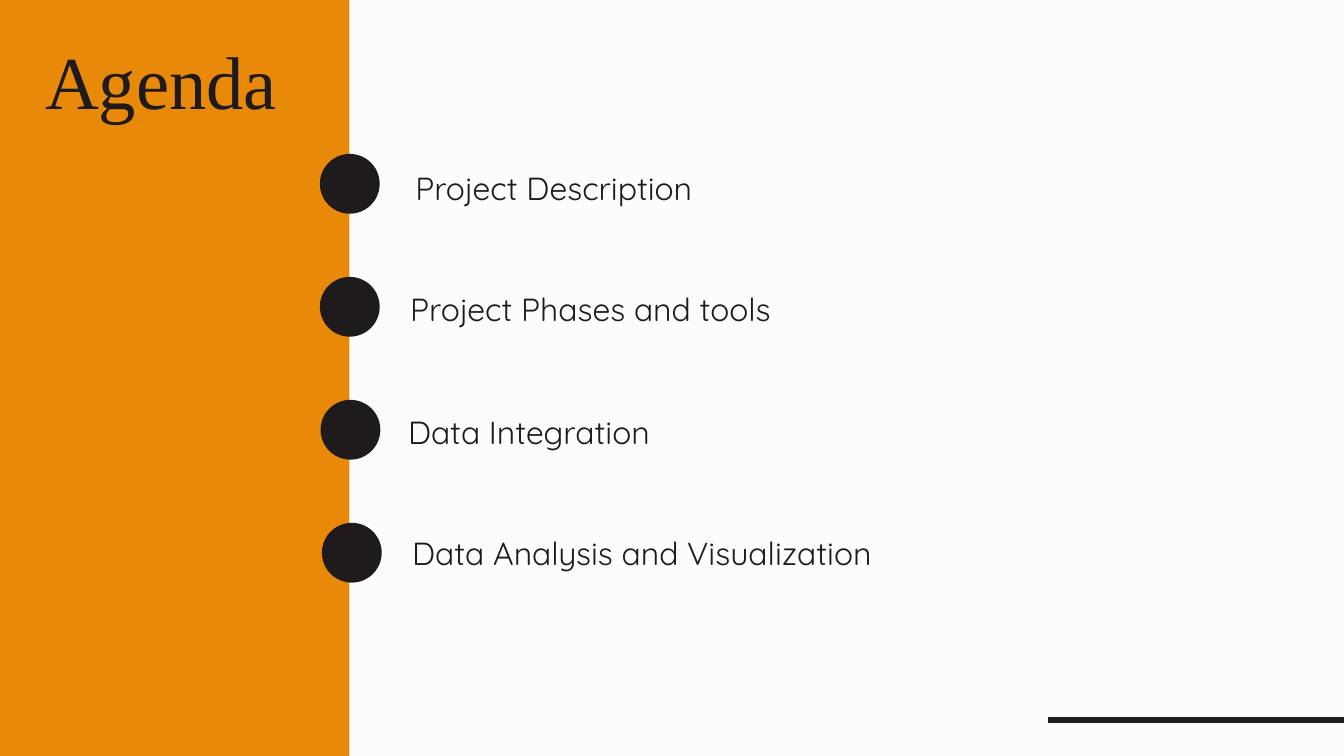
"""Build an agenda slide with four topics marked by dots along a side panel."""
from lxml.etree import SubElement
from pptx import Presentation
from pptx.dml.color import RGBColor
from pptx.enum.shapes import MSO_CONNECTOR, MSO_SHAPE
from pptx.enum.text import PP_ALIGN
from pptx.oxml.ns import qn
from pptx.util import Inches, Pt

COLORS = {"background": "FDFCFC", "panel": "E98909", "ink": "1F1B1C"}
PANEL_WIDTH = 5.2
DOT_SIZE = 0.89
FIRST_DOT_TOP = 2.29
DOT_STEP = 1.83
TOPICS = [
    ("Project Description", 4.76, 6, 2.41, 4.48),
    ("Project Phases and tools", 4.76, 5.88, 4.22, 5.81),
    ("Data Integration", 4.77, 5.82, 6.04, 4.1),
    ("Data Analysis and Visualization", 4.79, 5.88, 7.84, 7.34),
]


def add_filled_shape(slide, kind, left, top, width, height, color):
    shape = slide.shapes.add_shape(
        kind, Inches(left), Inches(top), Inches(width), Inches(height)
    )
    shape.shadow.inherit = False
    shape.fill.solid()
    shape.fill.fore_color.rgb = RGBColor.from_string(COLORS[color])
    shape.line.fill.background()


def add_text(slide, text, left, top, width, height, font, size, spacing, alignment):
    box = slide.shapes.add_textbox(
        Inches(left), Inches(top), Inches(width), Inches(height)
    )
    frame = box.text_frame
    frame.word_wrap = True
    frame.margin_left = frame.margin_right = 0
    frame.margin_top = frame.margin_bottom = 0
    paragraph = frame.paragraphs[0]
    paragraph.alignment = alignment
    paragraph.line_spacing = Pt(spacing)
    run = paragraph.add_run()
    run.text = text
    run.font.name = font
    run.font.size = Pt(size)
    run.font.color.rgb = RGBColor.from_string(COLORS["ink"])


presentation = Presentation()
presentation.slide_width = Inches(20)
presentation.slide_height = Inches(11.25)
slide = presentation.slides.add_slide(presentation.slide_layouts[6])
slide.background.fill.solid()
slide.background.fill.fore_color.rgb = RGBColor.from_string(COLORS["background"])

add_filled_shape(slide, MSO_SHAPE.RECTANGLE, 0, 0, PANEL_WIDTH, 11.25, "panel")
add_text(
    slide, "Agenda", 0.67, 0.6, 10.84, 1.27,
    "Times New Roman", 80, 89.6, PP_ALIGN.LEFT,
)

for index, (topic, dot_left, text_left, text_top, text_width) in enumerate(TOPICS):
    dot_top = FIRST_DOT_TOP + index * DOT_STEP
    add_filled_shape(
        slide, MSO_SHAPE.OVAL, dot_left, dot_top, DOT_SIZE, DOT_SIZE, "ink"
    )
    add_text(
        slide, topic, text_left, text_top, text_width, 0.62,
        "Quicksand", 34.2, 47.9, PP_ALIGN.CENTER,
    )

footer_line = slide.shapes.add_connector(
    MSO_CONNECTOR.STRAIGHT, Inches(15.6), Inches(10.71), Inches(20), Inches(10.71)
)
footer_line.line.color.rgb = RGBColor.from_string(COLORS["ink"])
footer_line.line.width = Pt(6)
SubElement(footer_line._element.spPr, qn("a:effectLst"))

presentation.save("out.pptx")
